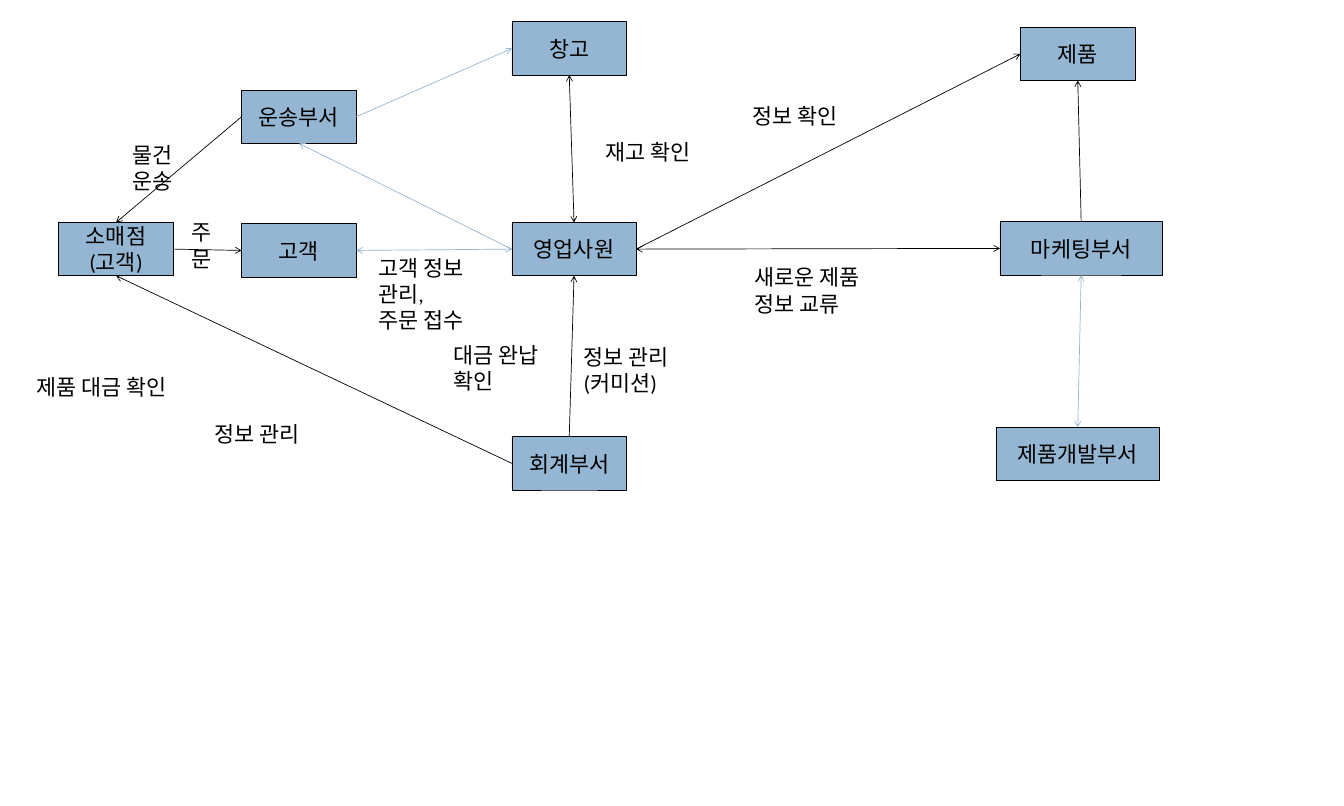
import pptx
import pptx.dml.color
import pptx.enum.shapes
import pptx.enum.text
import pptx.oxml.ns
import pptx.util
from lxml import etree

Inches, Pt = pptx.util.Inches, pptx.util.Pt
BLACK, BLUE = "000000", "94B6D2"
TOP, LEFT, BOTTOM, RIGHT = range(4)  # connection sites of a rectangle


def rgb(value):
    return pptx.dml.color.RGBColor.from_string(value)


class Diagram:
    font, size = "Calibri", 23
    box_height = 0.78

    def __init__(self, slide):
        self.s = slide

    def set_text(self, sp, text, align, anchor):
        tf = sp.text_frame
        tf.word_wrap = True
        tf.vertical_anchor = anchor
        tf.margin_left = tf.margin_right = Inches(0.18)
        tf.margin_top = tf.margin_bottom = Inches(0.09)
        tf.text = text
        for p in tf.paragraphs:
            p.alignment = align
            p.font.name = self.font
            p.font.size = Pt(self.size)
            p.font.color.rgb = rgb(BLACK)

    def box(self, text, x, y, width=1.68):
        sp = self.s.shapes.add_shape(
            pptx.enum.shapes.MSO_SHAPE.RECTANGLE,
            Inches(x), Inches(y), Inches(width), Inches(self.box_height))
        sp.shadow.inherit = False
        sp.fill.solid()
        sp.fill.fore_color.rgb = rgb(BLUE)
        sp.line.color.rgb = rgb(BLACK)
        sp.line.width = Pt(0.75)
        self.set_text(sp, text, pptx.enum.text.PP_ALIGN.CENTER,
                      pptx.enum.text.MSO_ANCHOR.MIDDLE)
        return sp

    def label(self, text, x, y, width, height=0.57):
        sp = self.s.shapes.add_textbox(
            Inches(x), Inches(y), Inches(width), Inches(height))
        self.set_text(sp, text, pptx.enum.text.PP_ALIGN.LEFT,
                      pptx.enum.text.MSO_ANCHOR.TOP)
        sp.text_frame.auto_size = pptx.enum.text.MSO_AUTO_SIZE.SHAPE_TO_FIT_TEXT

    def arrow(self, start, start_site, end, end_site, color=BLACK, both=False):
        """Join two boxes at their sites, with an arrowhead at the end or at both ends."""
        cn = self.s.shapes.add_connector(
            pptx.enum.shapes.MSO_CONNECTOR.STRAIGHT, 0, 0, 0, 0)
        cn.begin_connect(start, start_site)
        cn.end_connect(end, end_site)
        cn.line.color.rgb = rgb(color)
        cn.line.width = Pt(0.75)
        qn = pptx.oxml.ns.qn
        sp_pr = cn._element.spPr
        ln = sp_pr.find(qn("a:ln"))
        for tag in ("a:headEnd", "a:tailEnd") if both else ("a:tailEnd",):
            etree.SubElement(ln, qn(tag), type="arrow")
        etree.SubElement(sp_pr, qn("a:effectLst"))


def main():
    prs = pptx.Presentation()
    prs.slide_width, prs.slide_height = Inches(19.69), Inches(11.81)
    d = Diagram(prs.slides.add_slide(prs.slide_layouts[6]))

    sales = d.box("영업사원", 7.5, 3.26, 1.82)
    warehouse = d.box("창고", 7.5, 0.32)
    retailer = d.box("소매점\n(고객)", 0.86, 3.26)
    accounting = d.box("회계부서", 7.5, 6.4)
    product = d.box("제품", 14.95, 0.4)
    marketing = d.box("마케팅부서", 14.65, 3.25, 2.38)
    development = d.box("제품개발부서", 14.6, 6.26, 2.38)
    shipping = d.box("운송부서", 3.54, 1.32)
    customer = d.box("고객", 3.54, 3.28)

    d.arrow(retailer, RIGHT, customer, LEFT)
    d.arrow(sales, TOP, warehouse, BOTTOM, both=True)
    d.arrow(shipping, LEFT, retailer, TOP)
    d.arrow(accounting, LEFT, retailer, BOTTOM)
    d.arrow(accounting, TOP, sales, BOTTOM)
    d.arrow(sales, RIGHT, product, LEFT)
    d.arrow(marketing, TOP, product, BOTTOM)
    d.arrow(sales, RIGHT, marketing, LEFT, both=True)
    d.arrow(shipping, RIGHT, warehouse, LEFT, BLUE)
    d.arrow(sales, LEFT, shipping, BOTTOM, BLUE)
    d.arrow(customer, RIGHT, sales, LEFT, BLUE, both=True)
    d.arrow(development, TOP, marketing, BOTTOM, BLUE, both=True)

    d.label("주문", 2.62, 3.12, 0.65)
    d.label("재고 확인", 8.69, 1.94, 1.78)
    d.label("물건 운송", 1.76, 1.99, 1.24)
    d.label("정보 관리", 2.96, 6.08, 2.14)
    d.label("정보 관리\v(커미션)", 8.37, 4.94, 1.95, 0.96)
    d.label("제품 대금 확인", 0.35, 5.39, 2.65)
    d.label("정보 확인", 10.84, 1.42, 2.19)
    d.label("새로운 제품 정보 교류", 10.87, 3.78, 2.27, 0.96)
    d.label("대금 완납 확인", 6.46, 4.91, 1.95)
    d.label("고객 정보 관리,\v주문 접수", 5.36, 3.64, 2, 0.96)

    prs.save("out.pptx")


if __name__ == "__main__":
    main()
